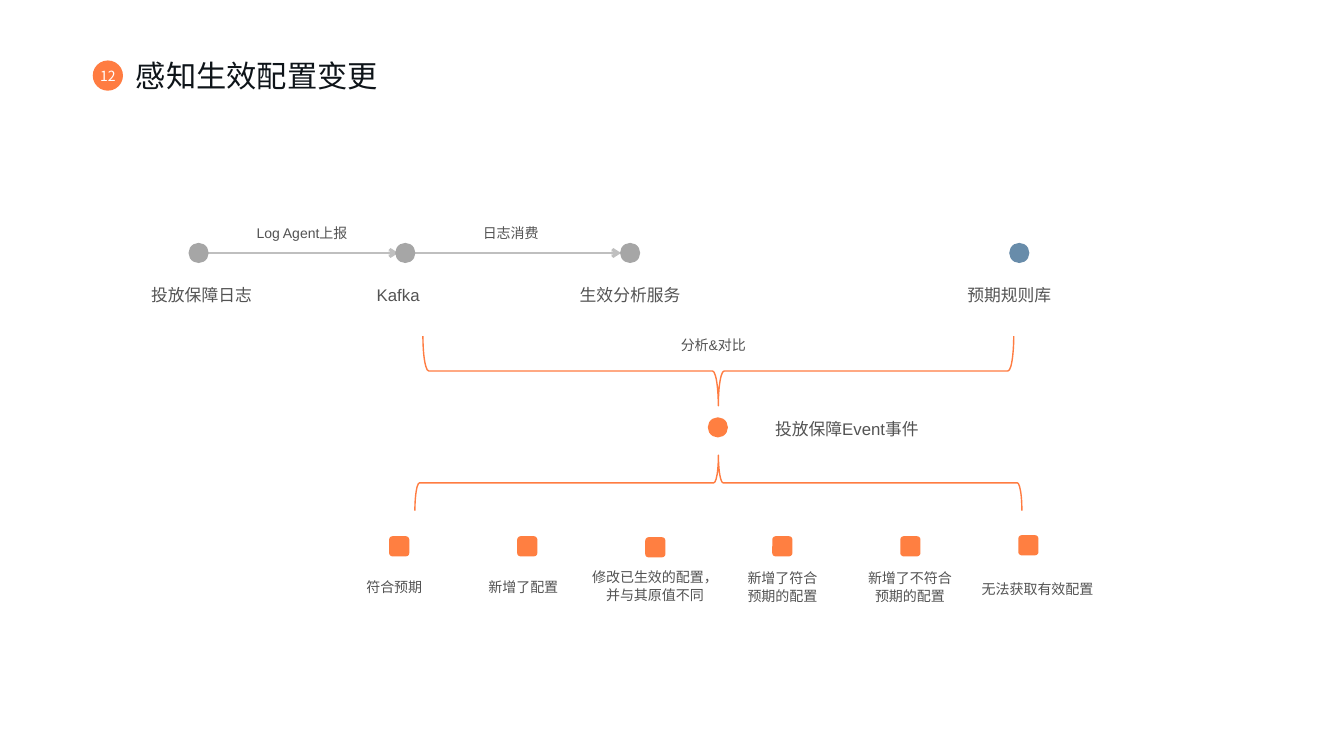
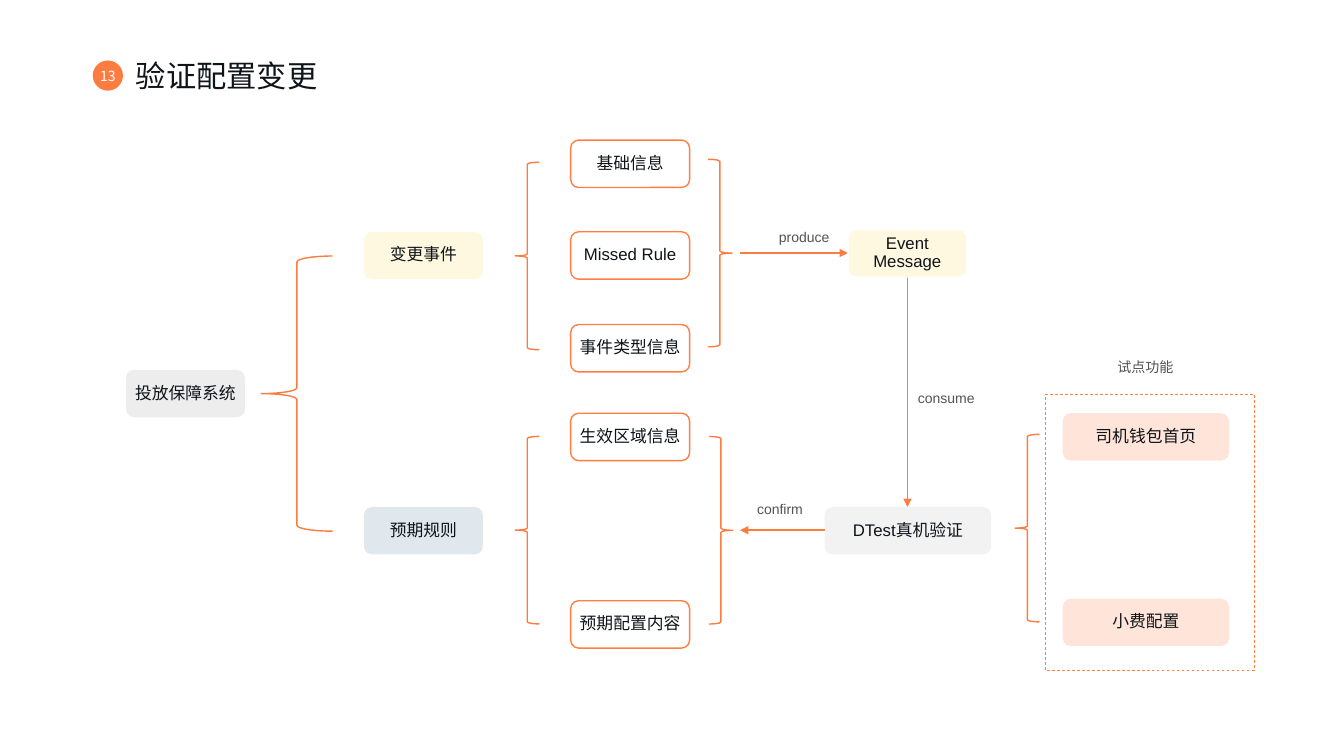
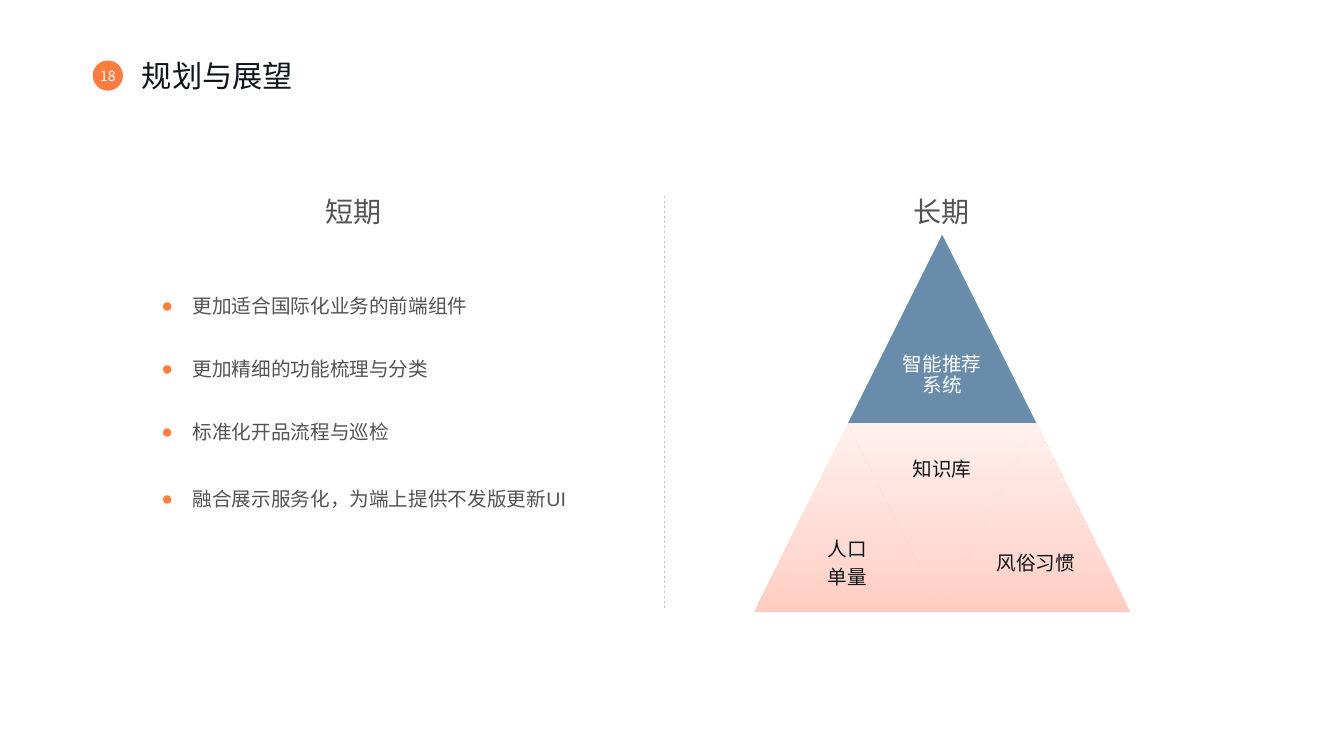
from copy import deepcopy
from lxml.etree import SubElement
from pptx import Presentation
from pptx.dml.color import RGBColor
from pptx.enum.dml import MSO_LINE
from pptx.enum.shapes import MSO_CONNECTOR, MSO_SHAPE
from pptx.enum.text import MSO_ANCHOR, PP_ALIGN
from pptx.oxml.ns import qn
from pptx.util import Pt

PX = 9144  # 100 px to the inch
ORANGE = RGBColor(0xFF, 0x7C, 0x41)
AMBER = RGBColor(0xFF, 0x7F, 0x41)
BLUE = RGBColor(0x68, 0x8C, 0xAA)
YELLOW = RGBColor(0xFF, 0xDE, 0x66)
GREY = RGBColor(0xA6, 0xA6, 0xA6)
SILVER = RGBColor(0xBF, 0xBF, 0xBF)
WHITE = RGBColor(0xFF, 0xFF, 0xFF)
INK = RGBColor(0x0E, 0x14, 0x19)
TEXT = RGBColor(0x53, 0x53, 0x53)
FADE = [(0, RGBColor(0xFF, 0xCC, 0xC0)), (0.35, RGBColor(0xFF, 0xDA, 0xD3)),
        (1, RGBColor(0xFF, 0xF1, 0xEE))]
SANS, CJK = "Arial", "Noto Sans CJK SC"
OVAL, ROUND = MSO_SHAPE.OVAL, MSO_SHAPE.ROUNDED_RECTANGLE
BRACE, PEAK = MSO_SHAPE.LEFT_BRACE, MSO_SHAPE.ISOSCELES_TRIANGLE


def put(page, area, kind=None, fill=None, line=None, pale=False, turn=0):
    """Add a shape, or a text box when no kind is given; pale means 20% opaque."""
    spot = [n * PX for n in area]
    if kind is None:
        return page.shapes.add_textbox(*spot)
    item = page.shapes.add_shape(kind, *spot)
    item.shadow.inherit = False
    item.rotation = turn
    if fill is None:
        item.fill.background()
    else:
        item.fill.solid()
        item.fill.fore_color.rgb = fill
        if pale:
            tone = item.element.spPr.find(qn("a:solidFill")).find(qn("a:srgbClr"))
            SubElement(tone, qn("a:alpha"), val="20000")
    if line is None:
        item.line.fill.background()
    else:
        item.line.color.rgb = line
        item.line.width = Pt(1)
    return item


def write(item, text, size, color=TEXT, font=SANS, lead=1.1, inset=5,
          side=PP_ALIGN.CENTER, after=None):
    frame = item.text_frame
    frame.text = text
    frame.word_wrap = True
    frame.vertical_anchor = MSO_ANCHOR.MIDDLE
    frame.margin_left = frame.margin_right = inset * PX
    frame.margin_top = frame.margin_bottom = min(inset, 5) * PX
    for para in frame.paragraphs:
        para.alignment = side
        para.line_spacing = lead
        para.space_after = after
        for run in para.runs:
            run.font.size = Pt(size)
            run.font.color.rgb = color
            run.font.name = font
            SubElement(run.font._element, qn("a:ea"), typeface=font)


deck = Presentation()
deck.slide_width, deck.slide_height = 1333 * PX, 750 * PX

# Shared heading
pages = []
for num, title, left in [("12", "感知生效配置变更", 125),
                         ("13", "验证配置变更", 125),
                         ("18", "规划与展望", 131)]:
    page = deck.slides.add_slide(deck.slide_layouts[6])
    pages.append(page)
    write(put(page, (92, 60, 30, 30), OVAL, ORANGE), num, 10, WHITE, CJK, 1, 0)
    write(put(page, (left, 52, 876, 46)), title, 21.6, INK, CJK, 1, 10,
          PP_ALIGN.LEFT)
flow, check, plan = pages

# Lines and arrows of all slides
for page, ends, color, width, head in [
        (flow, (206, 251, 395, 251), SILVER, 2, "arrow"),
        (flow, (411, 251, 616, 251), SILVER, 2, "arrow"),
        (check, (734, 251, 841, 251), ORANGE, 1, "triangle"),
        (check, (900, 274, 900, 503), ORANGE, 1, "triangle"),
        (check, (818, 526, 734, 526), ORANGE, 1, "triangle"),
        (plan, (659, 194, 659, 603), SILVER, 0.5, None)]:
    link = page.shapes.add_connector(MSO_CONNECTOR.STRAIGHT,
                                     *[n * PX for n in ends])
    link.line.color.rgb = color
    link.line.width = Pt(width)
    if head:
        SubElement(link.line._get_or_add_ln(), qn("a:tailEnd"), type=head)
    else:
        link.line.dash_style = MSO_LINE.DASH
    SubElement(link._element.spPr, qn("a:effectLst"))

# Slide 12: from log to event
for dot, left, name, color in [(187, 143, "投放保障日志", GREY),
                               (392, 338, "Kafka", GREY),
                               (615, 568, "生效分析服务", GREY),
                               (1001, 944, "预期规则库", BLUE)]:
    put(flow, (dot, 241, 20, 20), OVAL, color)
    write(put(flow, (left, 271, 114, 41)), name, 12)
for left, top, label in [(231, 210, "Log Agent上报"), (438, 210, "日志消费"),
                         (639, 321, "分析&对比")]:
    write(put(flow, (left, top, 137, 41)), label, 10)
put(flow, (678, 75, 69, 586), BRACE, line=ORANGE, turn=270)
put(flow, (702, 414, 20, 20), OVAL, AMBER)
write(put(flow, (746, 404, 188, 41)), "投放保障Event事件", 12)
put(flow, (685, 178, 55, 602), BRACE, line=ORANGE, turn=90)
for left, top, area, label in [
        (386, 532, (347, 566, 88, 30), "符合预期"),
        (513, 532, (475, 560, 88, 42), "新增了配置"),
        (640, 533, (579, 548, 141, 65), "修改已生效的配置，并与其原值不同"),
        (766, 532, (736, 549, 80, 65), "新增了符合预期的配置"),
        (893, 532, (851, 549, 103, 65), "新增了不符合预期的配置"),
        (1010, 531, (968, 560, 122, 47), "无法获取有效配置")]:
    put(flow, (left, top, 20, 20), ROUND, AMBER)
    write(put(flow, area), label, 10)

# Slide 13: how a change is checked
pilot = put(check, (1037, 391, 207, 274), MSO_SHAPE.RECTANGLE, WHITE, AMBER, True)
pilot.line.width = Pt(0.5)
pilot.line.dash_style = MSO_LINE.DASH
for left, top, wide, high, turn in [(259, 254, 71, 273, 0),
                                    (511, 161, 24, 186, 0),
                                    (702, 158, 24, 186, 180),
                                    (511, 433, 24, 186, 0),
                                    (703, 433, 24, 186, 180),
                                    (1007, 431, 24, 186, 0)]:
    put(check, (left, top, wide, high), BRACE, line=ORANGE, turn=turn)
for left, top, wide, fill, line, label in [
        (125, 367, 118, GREY, None, "投放保障系统"),
        (361, 230, 118, YELLOW, None, "变更事件"),
        (361, 503, 118, BLUE, None, "预期规则"),
        (566, 139, 118, WHITE, AMBER, "基础信息"),
        (566, 230, 118, WHITE, AMBER, "Missed Rule"),
        (566, 322, 118, WHITE, AMBER, "事件类型信息"),
        (566, 410, 118, WHITE, AMBER, "生效区域信息"),
        (566, 596, 118, WHITE, AMBER, "预期配置内容"),
        (841, 228, 118, YELLOW, WHITE, "Event Message"),
        (818, 503, 165, SILVER, None, "DTest真机验证"),
        (1054, 410, 165, AMBER, None, "司机钱包首页"),
        (1054, 594, 165, AMBER, None, "小费配置")]:
    write(put(check, (left, top, wide, 47), ROUND, fill, line, True),
          label, 12, INK, lead=0.9)
for left, top, wide, label in [(899, 374, 79, "consume"), (758, 215, 79, "produce"),
                               (734, 485, 79, "confirm"), (1058, 344, 156, "试点功能")]:
    write(put(check, (left, top, wide, 39)), label, 10)

# Slide 18: short and long term
for left, wide, label in [(255, 191, "短期"), (816, 236, "长期")]:
    write(put(plan, (left, 186, wide, 44)), label, 20)
for top, goal in [(273, "更加适合国际化业务的前端组件"),
                  (335, "更加精细的功能梳理与分类"),
                  (398, "标准化开品流程与巡检"),
                  (464, "融合展示服务化，为端上提供不发版更新UI")]:
    item = put(plan, (155, top, 436, 59))
    write(item, goal, 14, side=PP_ALIGN.LEFT)
    props = item.text_frame.paragraphs[0]._p.get_or_add_pPr()
    props.set("marL", str(31 * PX))
    props.set("indent", str(-31 * PX))
    SubElement(SubElement(props, qn("a:buClr")), qn("a:srgbClr"), val=str(AMBER))
    SubElement(props, qn("a:buFont"), typeface=SANS)
    SubElement(props, qn("a:buChar"), char="●")

SIDE = 187
for left, top, kind, color, spot, label in [
        (841, 233, PEAK, WHITE, (888, 326), "智能推荐系统"),
        (748, 420, PEAK, INK, (794, 513), "人口\n单量"),
        (841, 420, MSO_SHAPE.FLOWCHART_MERGE, INK, (888, 420), "知识库"),
        (934, 420, PEAK, INK, (981, 513), "风俗习惯")]:
    part = put(plan, (left, top, SIDE, SIDE), kind, BLUE)
    if top > 233:
        part.fill.gradient()
        part.fill.gradient_angle = 90
        stops = part.element.spPr.find(qn("a:gradFill")).find(qn("a:gsLst"))
        stops.append(deepcopy(stops[0]))
        for stop, (place, tint) in zip(part.fill.gradient_stops, FADE):
            stop.position = place
            stop.color.rgb = tint
    write(put(plan, (*spot, 93, 93)), label, 14, color, lead=0.9, inset=6,
          after=Pt(5))

deck.save("out.pptx")
